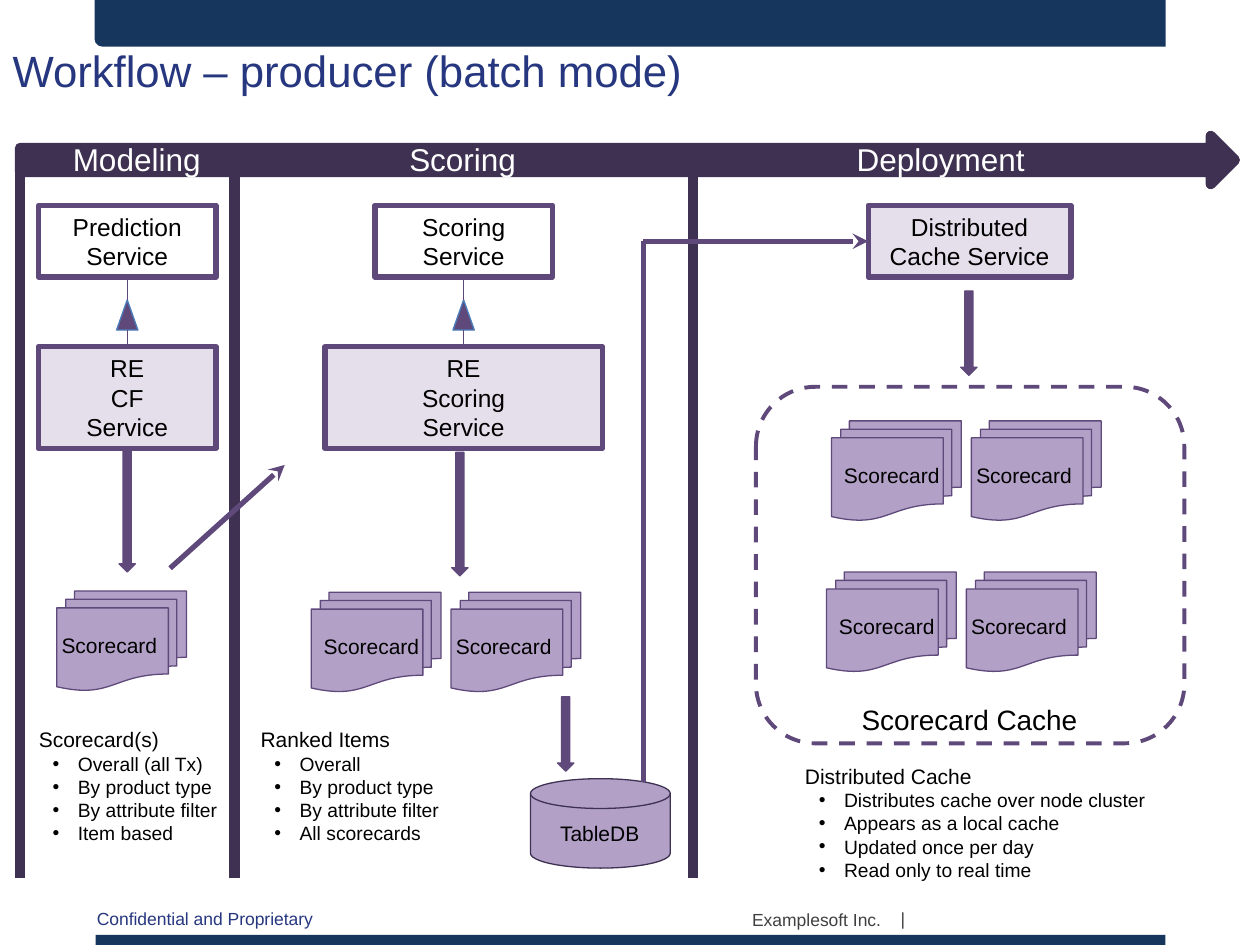
from lxml import etree
from pptx import Presentation
from pptx.dml.color import RGBColor
from pptx.enum.dml import MSO_LINE
from pptx.enum.shapes import MSO_CONNECTOR, MSO_SHAPE
from pptx.enum.text import MSO_ANCHOR, MSO_AUTO_SIZE, PP_ALIGN
from pptx.oxml.ns import qn
from pptx.util import Inches, Pt

NAVY, BLUE, GREY = "17365D", "26377F", "404040"
DARK, PURPLE, LILAC, PALE = "3F3151", "5F497A", "B2A0C7", "E5DFEC"
BLACK, WHITE, EDGE = "000000", "FFFFFF", "4A7DBB"


def color(value):
    return RGBColor.from_string(value)


def format_paragraph(paragraph, size, font_color, align=PP_ALIGN.LEFT):
    paragraph.alignment = align
    for run in paragraph.runs:
        run.font.name = "Arial"
        run.font.size = Pt(size)
        run.font.color.rgb = color(font_color)


def add_box(slide, kind, box, fill=None, line=None, width=0.75):
    shape = slide.shapes.add_shape(kind, *map(Inches, box))
    shape.shadow.inherit = False
    if fill:
        shape.fill.solid()
        shape.fill.fore_color.rgb = color(fill)
    else:
        shape.fill.background()
    if line:
        shape.line.color.rgb = color(line)
        shape.line.width = Pt(width)
    else:
        shape.line.fill.background()
    return shape


def add_line(slide, start, end, line=PURPLE, width=3, arrow=False):
    connector = slide.shapes.add_connector(
        MSO_CONNECTOR.STRAIGHT, *map(Inches, (*start, *end)))
    connector.line.color.rgb = color(line)
    connector.line.width = Pt(width)
    etree.SubElement(connector._element.spPr, qn("a:effectLst"))
    if arrow:
        etree.SubElement(connector.line._get_or_add_ln(), qn("a:tailEnd"), type="stealth")
    return connector


def add_label(slide, box, text, size, font_color=BLACK, align=PP_ALIGN.LEFT):
    label = slide.shapes.add_textbox(*map(Inches, box))
    label.text_frame.text = text
    format_paragraph(label.text_frame.paragraphs[0], size, font_color, align)
    return label


def add_bullet_list(slide, box, heading, items):
    frame = add_label(slide, box, heading, 12).text_frame
    frame.word_wrap = True
    for item in items:
        paragraph = frame.add_paragraph()
        paragraph.text = item
        paragraph.level = 1
        properties = paragraph._p.get_or_add_pPr()
        properties.set("marL", str(Inches(0.31)))
        properties.set("indent", str(Inches(-0.2)))
        bullet_color = etree.SubElement(properties, qn("a:buClr"))
        etree.SubElement(bullet_color, qn("a:srgbClr"), val=BLACK)
        etree.SubElement(properties, qn("a:buFont"), typeface="Arial")
        etree.SubElement(properties, qn("a:buChar"), char="•")
        format_paragraph(paragraph, 11, BLACK)


def add_service(slide, box, lines, fill):
    service = add_box(slide, MSO_SHAPE.RECTANGLE, box, fill, PURPLE, 3)
    frame = service.text_frame
    frame.text = "\n".join(lines)
    frame.vertical_anchor = MSO_ANCHOR.MIDDLE
    for paragraph in frame.paragraphs:
        format_paragraph(paragraph, 14, BLACK, PP_ALIGN.CENTER)
    return service


def add_down_arrow(slide, center, top, height):
    add_box(slide, MSO_SHAPE.DOWN_ARROW, (center - 0.065, top, 0.13, height), PURPLE, PURPLE)


def add_service_pair(slide, center, parent_lines, child_lines, child_width):
    """Parent service above the child service that inherits from it."""
    parent = add_service(slide, (center - 0.705, 1.63, 1.41, 0.57), parent_lines, WHITE)
    child = add_service(
        slide, (center - child_width / 2, 2.75, child_width, 0.81), child_lines, PALE)
    add_box(slide, MSO_SHAPE.ISOSCELES_TRIANGLE, (center - 0.085, 2.38, 0.17, 0.24), PURPLE, EDGE)
    upper = add_line(slide, (center, 2.38), (center, 2.2), width=0.75)
    upper.end_connect(parent, 2)
    lower = add_line(slide, (center, 2.75), (center, 2.62), width=0.75)
    lower.begin_connect(child, 0)


def add_scorecard(slide, left, top, text_shift=-0.06):
    add_box(slide, MSO_SHAPE.FLOWCHART_MULTIDOCUMENT, (left, top, 1.03, 0.79), LILAC, PURPLE)
    add_label(slide, (left + text_shift, top + 0.28, 0.97, 0.3), "Scorecard", 12)


def add_scorecard_pair(slide, left, top):
    add_scorecard(slide, left + 1.11, top)
    add_scorecard(slide, left, top, text_shift=0)


def add_frame(slide):
    add_box(slide, MSO_SHAPE.RECTANGLE, (0.76, 7.42, 8.49, 0.08), NAVY)
    header = add_box(slide, MSO_SHAPE.ROUND_1_RECTANGLE, (0.75, 0, 8.5, 0.37), NAVY)
    header.rotation = 180
    add_label(slide, (0.67, 7.16, 1.94, 0.27), "Confidential and Proprietary", 10, BLUE)
    add_label(slide, (7.05, 7.16, 0.33, 0.27), "|", 10, GREY)
    company = add_label(slide, (3.92, 7.1, 3.17, 0.4), "Examplesoft Inc.", 10, GREY,
                        PP_ALIGN.RIGHT)
    company.text_frame.word_wrap = True
    company.text_frame.vertical_anchor = MSO_ANCHOR.MIDDLE


def add_title(slide, box, text):
    title = slide.shapes.title
    title.left, title.top, title.width, title.height = map(Inches, box)
    frame = title.text_frame
    frame.text = text
    frame.auto_size = MSO_AUTO_SIZE.NONE
    frame.vertical_anchor = MSO_ANCHOR.TOP
    format_paragraph(frame.paragraphs[0], 25, BLUE)


def add_phases(slide):
    for x in (0.16, 1.86, 5.5):
        add_line(slide, (x, 1.18), (x, 6.97), DARK, 6)
    add_box(slide, MSO_SHAPE.RIGHT_ARROW, (0.16, 1.08, 9.64, 0.38), DARK, DARK, 6)
    for left, width, name in ((0.48, 1.23, "Modeling"), (3.15, 1.06, "Scoring"),
                              (6.7, 1.55, "Deployment")):
        add_label(slide, (left, 1.06, width, 0.4), name, 18, WHITE)


def add_modeling(slide, center):
    add_service_pair(slide, center, ("Prediction", "Service"), ("RE", "CF", "Service"), 1.41)
    add_down_arrow(slide, center, 3.56, 0.98)
    add_scorecard(slide, 0.45, 4.69)
    add_line(slide, (1.35, 4.51), (2.26, 3.69), arrow=True)
    add_bullet_list(slide, (0.21, 5.72, 1.63, 1.04), "Scorecard(s)",
                    ("Overall (all Tx)", "By product type", "By attribute filter", "Item based"))


def add_scoring(slide, center):
    add_down_arrow(slide, center - 0.03, 3.59, 0.98)
    add_service_pair(slide, center, ("Scoring", "Service"), ("RE", "Scoring", "Service"), 2.2)
    add_scorecard_pair(slide, 2.47, 4.7)
    add_down_arrow(slide, 4.49, 5.53, 0.59)
    add_bullet_list(slide, (1.97, 5.72, 1.63, 1.04), "Ranked Items",
                    ("Overall", "By product type", "By attribute filter", "All scorecards"))
    add_box(slide, MSO_SHAPE.FLOWCHART_MAGNETIC_DISK, (4.21, 6.18, 1.11, 0.71), LILAC, DARK)
    add_label(slide, (4.29, 6.46, 0.94, 0.3), "TableDB", 12, align=PP_ALIGN.CENTER)


def add_deployment(slide, center):
    service = add_service(slide, (center - 0.8, 1.63, 1.61, 0.57),
                          ("Distributed", "Cache Service"), PALE)
    add_line(slide, (5.11, 6.21), (5.11, 1.91))
    feed = add_line(slide, (5.1, 1.915), (6.89, 1.915), arrow=True)
    feed.end_connect(service, 1)
    add_down_arrow(slide, center, 2.31, 0.67)
    cache = add_box(slide, MSO_SHAPE.ROUNDED_RECTANGLE, (6, 3.07, 3.4, 2.83),
                    line=PURPLE, width=2.25)
    cache.line.dash_style = MSO_LINE.DASH
    add_label(slide, (6.74, 5.53, 1.93, 0.37), "Scorecard Cache", 16)
    add_scorecard_pair(slide, 6.6, 3.34)
    add_scorecard_pair(slide, 6.56, 4.54)
    add_bullet_list(slide, (6.29, 6.01, 2.92, 1.04), "Distributed Cache",
                    ("Distributes cache over node cluster", "Appears as a local cache",
                     "Updated once per day", "Read only to real time"))


def main():
    presentation = Presentation()
    presentation.slide_width, presentation.slide_height = Inches(10), Inches(7.5)
    slide = presentation.slides.add_slide(presentation.slide_layouts[5])
    add_frame(slide)
    add_title(slide, (0, 0.3, 9, 1.25), "Workflow – producer (batch mode)")
    add_phases(slide)
    add_modeling(slide, 1.01)
    add_scoring(slide, 3.68)
    add_deployment(slide, 7.69)
    presentation.save("out.pptx")


if __name__ == "__main__":
    main()
